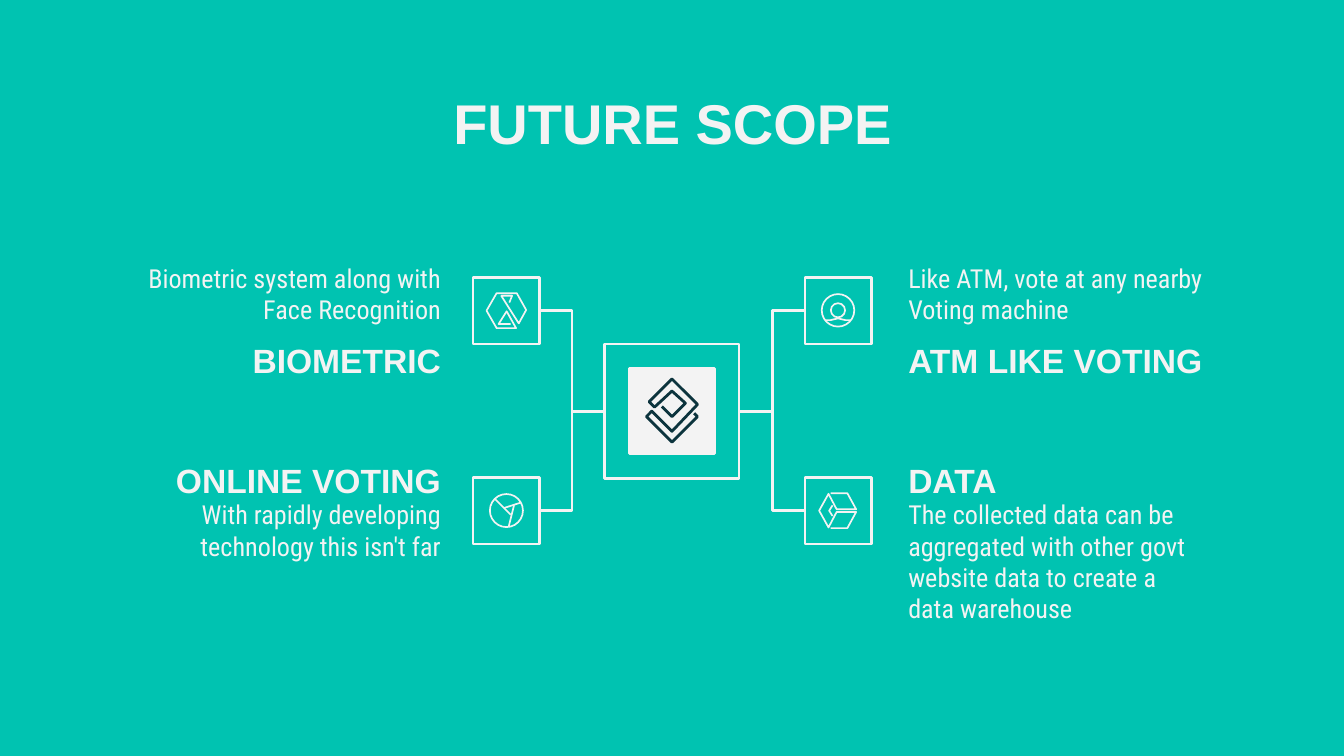
from pptx import Presentation, util as u
from pptx.dml.color import RGBColor
from pptx.enum import shapes, text
from pptx.oxml.ns import qn

TEAL = RGBColor(0x00, 0xC3, 0xB1)
PALE = RGBColor(0xF3, 0xF3, 0xF3)
DARK = RGBColor(0x0C, 0x34, 0x3D)
HEADING_FONT = "Arial"
BODY_FONT = "Roboto Condensed"

COLUMNS, ROWS = 100, 56.25
CELL = u.Inches(10) / COLUMNS
TILE = 4.93
FRAME_LINE, GLYPH_LINE = 1.5, 0.9

HUB_BOX = (45, 25.6, 10, 10)
HUB_GLYPH = [
    (4.25, 4.65), (5, 5.4), (6, 4.4), (5, 3.5), (3.7, 4.7), (3.3, 4.3), (5, 2.6),
    (6.9, 4.5), (5, 6.5), (3.5, 5), (3.1, 5.4), (5, 7.3), (6.9, 5.4), (6.65, 5.15),
]

HOURGLASS = {"strokes": [[
    (2.7, 1.85), (2.9, 1.35), (2.1, 1.35), (3.4, 3.4), (3.95, 2.4), (3.25, 1.15),
    (1.75, 1.15), (1, 2.45), (1.75, 3.75), (3.2, 3.75), (2.5, 2.5), (1.9, 3.45), (2.8, 3.45),
]]}
CUBE = {"strokes": [
    [(1.9, 1.15), (3.15, 1.15), (3.8, 2.35), (2.35, 2.35), (1.75, 1.2), (1.05, 2.45),
     (1.75, 3.7), (2.35, 2.55), (3.8, 2.55), (3.15, 3.75), (1.9, 3.75)],
    [(2.05, 2.05), (1.8, 2.45), (2.05, 2.85)],
]}
PERSON = {
    "rings": [(2.45, 2.42, 1.21), (2.45, 2.42, 0.53)],
    "strokes": [[(1.55, 3.15), (1.9, 3.15), (2.45, 3.02), (3, 3.15), (3.35, 3.15)]],
}
PIE = {
    "rings": [(2.48, 2.44, 1.23)],
    "strokes": [[(1.6, 1.55), (2.8, 2.75)], [(2.3, 2.25), (3.55, 1.85)], [(3.05, 2.05), (2.65, 3.65)]],
}

LEFT = {"text_x": 9.4, "text_w": 24.4, "tile_x": 35.2, "align": text.PP_ALIGN.RIGHT}
RIGHT = {"text_x": 66.6, "text_w": 24, "tile_x": 59.9, "align": text.PP_ALIGN.LEFT}
UPPER = {"tile_y": 20.67, "heading_y": 24.8, "body_y": 18.5, "body_h": 4.9,
         "anchor": text.MSO_ANCHOR.MIDDLE}
LOWER = {"tile_y": 35.55, "heading_y": 33.2, "body_y": 36.1, "body_h": 7.7,
         "anchor": text.MSO_ANCHOR.TOP}

BRANCHES = [
    (LEFT, UPPER, HOURGLASS, "BIOMETRIC", "Biometric system along with Face Recognition"),
    (RIGHT, UPPER, PERSON, "ATM LIKE VOTING", "Like ATM, vote at any nearby Voting machine"),
    (LEFT, LOWER, PIE, "ONLINE VOTING", "With rapidly developing technology this isn't far"),
    (RIGHT, LOWER, CUBE, "DATA",
     "The collected data can be aggregated with other govt website data to create a data warehouse"),
]


def cells(*counts):
    return [u.Emu(round(count * CELL)) for count in counts]


def style_shape(shape, line_color, width, fill=None):
    shape.shadow.inherit = False
    if fill is None:
        shape.fill.background()
    else:
        shape.fill.solid()
        shape.fill.fore_color.rgb = fill
    shape.line.color.rgb = line_color
    shape.line.width = u.Pt(width)


def add_frame(slide, box, fill=None):
    shape = slide.shapes.add_shape(shapes.MSO_SHAPE.RECTANGLE, *cells(*box))
    style_shape(shape, PALE, FRAME_LINE, fill)


def add_stroke(slide, origin, points, color, width):
    corners = [cells(origin[0] + x, origin[1] + y) for x, y in points]
    builder = slide.shapes.build_freeform(*corners[0])
    builder.add_line_segments(corners[1:], close=False)
    style_shape(builder.convert_to_shape(), color, width)


def add_glyph(slide, origin, glyph):
    for x, y, radius in glyph.get("rings", []):
        box = (origin[0] + x - radius, origin[1] + y - radius, 2 * radius, 2 * radius)
        ring = slide.shapes.add_shape(shapes.MSO_SHAPE.OVAL, *cells(*box))
        style_shape(ring, PALE, GLYPH_LINE)
    for points in glyph["strokes"]:
        add_stroke(slide, origin, points, PALE, GLYPH_LINE)


def add_label(slide, box, words, size, font, align, bold=False, anchor=text.MSO_ANCHOR.TOP):
    frame = slide.shapes.add_textbox(*cells(*box)).text_frame
    frame.word_wrap = True
    frame.vertical_anchor = anchor
    frame.margin_left = frame.margin_right = frame.margin_top = frame.margin_bottom = u.Inches(0.1)
    paragraph = frame.paragraphs[0]
    paragraph.alignment = align
    run = paragraph.add_run()
    run.text = words
    run.font.size = u.Pt(size)
    run.font.name = font
    run.font.bold = bold
    run.font.color.rgb = PALE


def add_elbow(slide, start, end):
    connector = slide.shapes.add_connector(shapes.MSO_CONNECTOR.ELBOW, *cells(*start, *end))
    connector.line.color.rgb = PALE
    connector.line.width = u.Pt(FRAME_LINE)
    properties = connector._element.spPr
    properties.append(properties.makeelement(qn("a:effectLst"), {}))


def add_title(slide, box):
    add_label(slide, box, "FUTURE SCOPE", 30, HEADING_FONT, text.PP_ALIGN.CENTER, bold=True)


def add_hub(slide, box):
    left, top, width, height = box
    add_frame(slide, box)
    inset = 0.185
    core = (left + width * inset, top + height * inset,
            width * (1 - 2 * inset), height * (1 - 2 * inset))
    add_frame(slide, core, PALE)
    add_stroke(slide, (left, top), HUB_GLYPH, DARK, FRAME_LINE)


def add_branch(slide, hub, side, level, glyph, heading, body):
    tile = (side["tile_x"], level["tile_y"])
    add_label(slide, (side["text_x"], level["body_y"], side["text_w"], level["body_h"]),
              body, 14, BODY_FONT, side["align"])
    add_label(slide, (side["text_x"], level["heading_y"], side["text_w"], 4),
              heading, 18, HEADING_FONT, side["align"], True, level["anchor"])
    add_frame(slide, (*tile, TILE, TILE))
    add_glyph(slide, tile, glyph)
    hub_left, hub_top, hub_width, hub_height = hub
    on_left = tile[0] < hub_left
    hub_edge = hub_left if on_left else hub_left + hub_width
    tile_edge = tile[0] + TILE if on_left else tile[0]
    add_elbow(slide, (hub_edge, hub_top + hub_height / 2), (tile_edge, tile[1] + TILE / 2))


def main():
    presentation = Presentation()
    presentation.slide_width, presentation.slide_height = cells(COLUMNS, ROWS)
    slide = presentation.slides.add_slide(presentation.slide_layouts[6])
    slide.background.fill.solid()
    slide.background.fill.fore_color.rgb = TEAL
    add_title(slide, (7.9, 5.6, 84.3, 6.3))
    add_hub(slide, HUB_BOX)
    for branch in BRANCHES:
        add_branch(slide, HUB_BOX, *branch)
    presentation.save("out.pptx")


if __name__ == "__main__":
    main()
